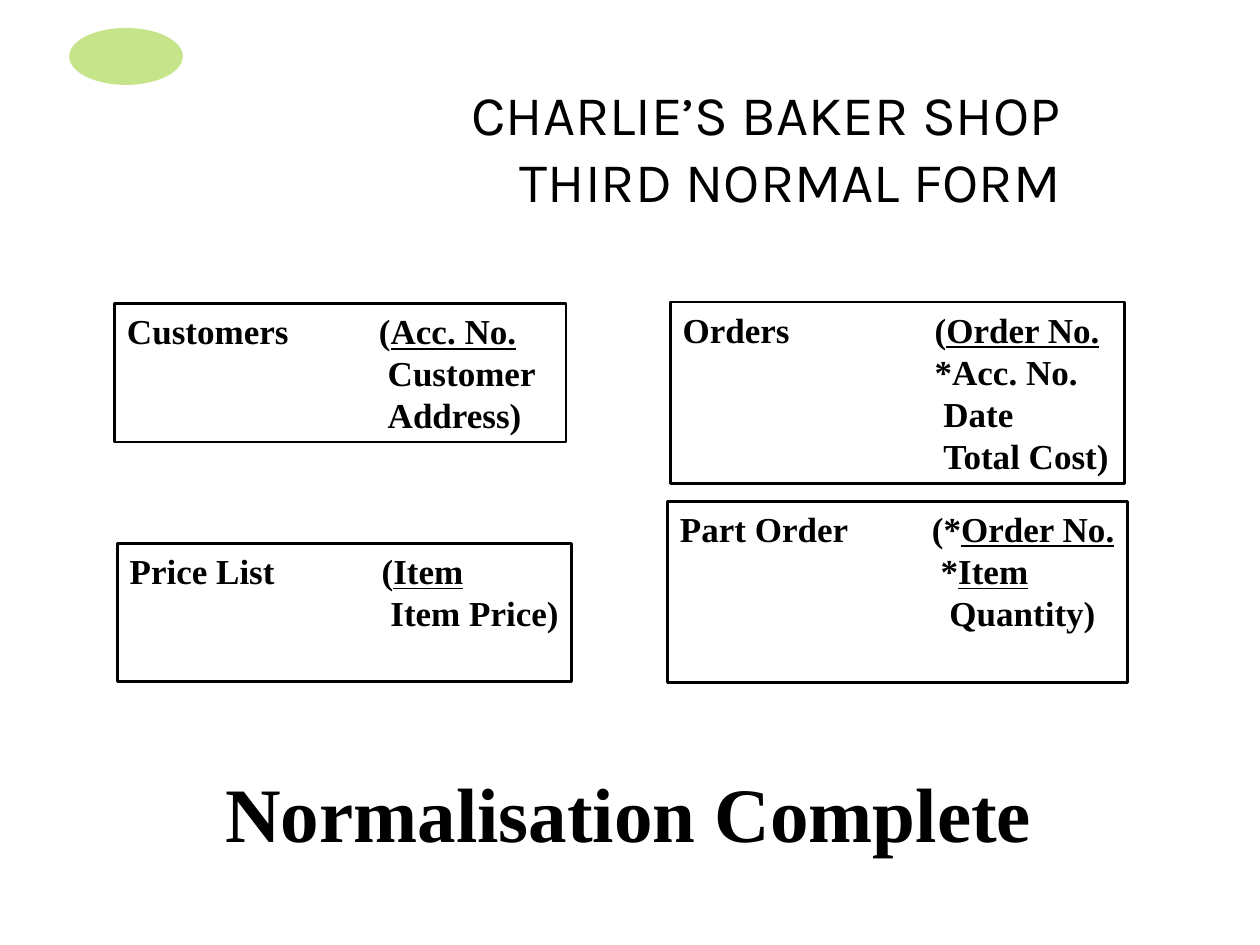
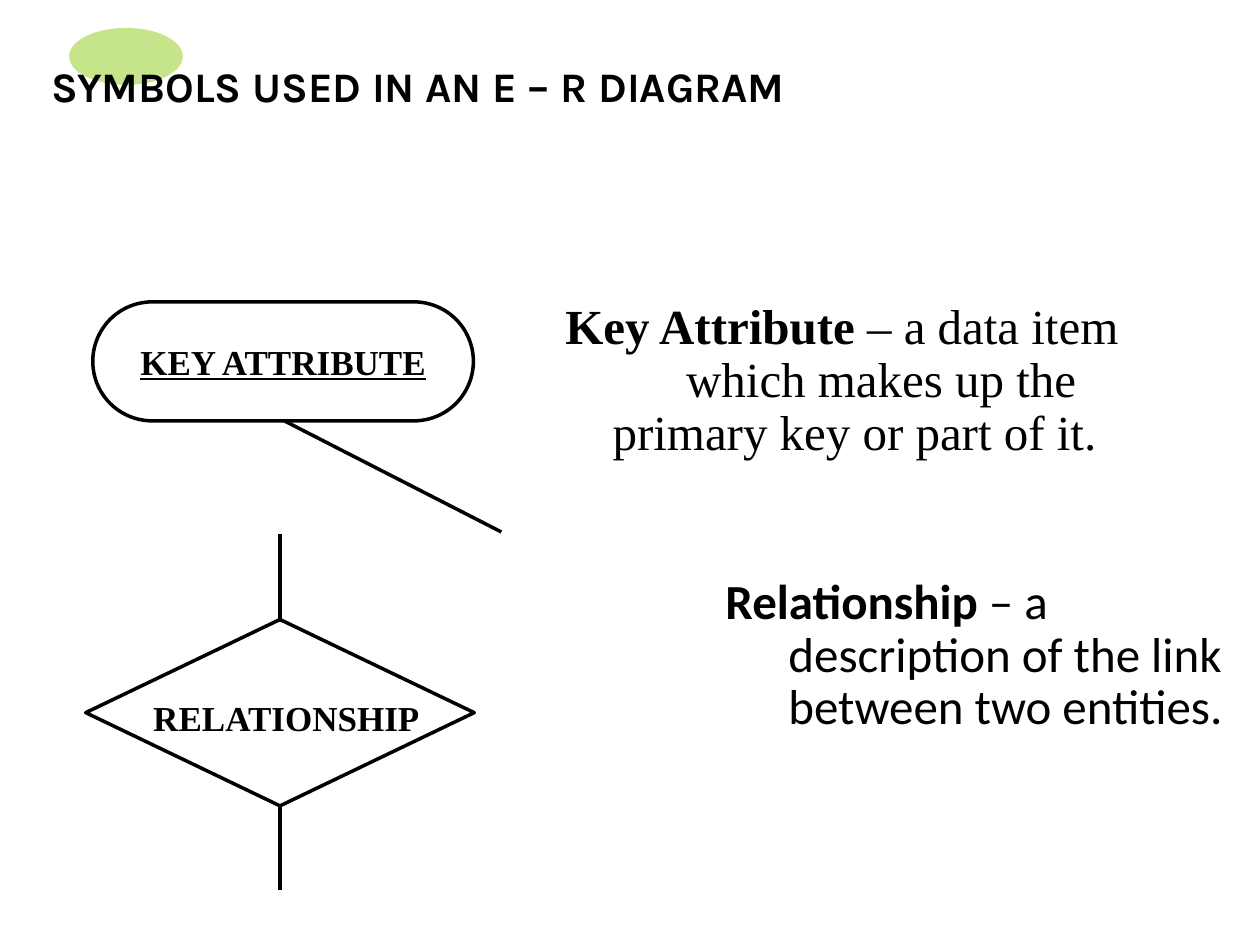
from dataclasses import dataclass

from lxml import etree
from pptx import Presentation
from pptx.dml.color import RGBColor
from pptx.enum import shapes, text
from pptx.oxml.ns import qn
from pptx.util import Pt


@dataclass(frozen=True)
class Theme:
    ink: RGBColor = RGBColor(0, 0, 0)
    paper: RGBColor = RGBColor(255, 255, 255)
    accent: RGBColor = RGBColor(0x8F, 0xCB, 0x17)
    title_font: str = "Karla"
    serif: str = "Times New Roman"
    sans: str = "Calibri"
    title: int = 32
    small_title: int = 24
    closing: int = 44
    definition: int = 28
    label: int = 20


theme = Theme()
LEFT, CENTER, RIGHT = text.PP_ALIGN.LEFT, text.PP_ALIGN.CENTER, text.PP_ALIGN.RIGHT
TOP, MIDDLE = text.MSO_ANCHOR.TOP, text.MSO_ANCHOR.MIDDLE
LINE_BREAK = ("\n", "")


def add_symbol(slide, preset, box, line_width, fill=None):
    """Add a preset shape; a line width of 0 means no outline."""
    symbol = slide.shapes.add_shape(preset, *map(Pt, box))
    symbol.shadow.inherit = False
    if fill is None:
        symbol.fill.background()
    else:
        symbol.fill.solid()
        symbol.fill.fore_color.rgb = fill
    if line_width:
        symbol.line.color.rgb = theme.ink
        symbol.line.width = Pt(line_width)
    else:
        symbol.line.fill.background()
    return symbol


def write(holder, lines, font, size, bold=False, align=LEFT, anchor=TOP):
    """Fill a shape with paragraphs of (words, style) runs; style is "", "b" or "u"."""
    frame = holder.text_frame
    frame.word_wrap = True
    frame.vertical_anchor = anchor
    for number, runs in enumerate(lines):
        paragraph = frame.add_paragraph() if number else frame.paragraphs[0]
        paragraph.alignment = align
        paragraph.font.name = font
        paragraph.font.size = Pt(size)
        paragraph.font.bold = bold
        paragraph.font.color.rgb = theme.ink
        for words, style in runs:
            if (words, style) == LINE_BREAK:
                paragraph.add_line_break()
                continue
            run = paragraph.add_run()
            run.text = words
            if style == "b":
                run.font.bold = True
            elif style == "u":
                run.font.underline = True
    return frame


deck = Presentation()
deck.slide_width, deck.slide_height = Pt(720), Pt(540)

# Shared background ellipse and title
titles = [
    ([("CHARLIE’S BAKER SHOP", ""), LINE_BREAK, ("THIRD NORMAL FORM", "")],
     (0, 30, 613.5, 107.5), theme.title, False),
    ([("SYMBOLS USED IN AN E – R DIAGRAM", "")],
     (0, 19, 455.5, 60), theme.small_title, True),
]
slides = []
for title, box, size, bold in titles:
    slide = deck.slides.add_slide(deck.slide_layouts[6])
    oval = add_symbol(slide, shapes.MSO_SHAPE.OVAL, (39.5, 16, 65, 32.5), 0, theme.accent)
    tint = oval.fill._xPr.find(".//" + qn("a:srgbClr"))
    etree.SubElement(tint, qn("a:alpha"), val="50000")
    heading = slide.shapes.add_textbox(*map(Pt, box))
    write(heading, [title], theme.title_font, size, bold, RIGHT, MIDDLE)
    slides.append(slide)
normal_form, er_symbols = slides

# Slide 1: relations in third normal form
ATTRIBUTE_COLUMN = 144
SPACE = 5
closing = normal_form.shapes.add_textbox(Pt(52.5), Pt(410), Pt(613.5), Pt(107.5))
write(closing, [[("Normalisation Complete", "")]], theme.serif, theme.closing, True, CENTER, MIDDLE)

# Each attribute: leading spaces, plain words, underlined key
relations = [
    ("Orders", (383, 172.5, 259.5, 104),
     [(0, "(", "Order No."), (0, "*Acc. No.", ""), (1, "Date", ""), (1, "Total Cost)", "")]),
    ("Price List", (67, 310.5, 259.5, 79), [(0, "(", "Item"), (1, "Item Price)", "")]),
    ("Part Order", (381.5, 286.5, 263, 103.5),
     [(0, "(*", "Order No."), (1, "*", "Item"), (2, "Quantity)", "")]),
    ("Customers", (65.5, 173.5, 258, 79),
     [(0, "(", "Acc. No."), (1, "Customer", ""), (1, "Address)", "")]),
]
for relation, box, attributes in relations:
    frame_box = add_symbol(normal_form, shapes.MSO_SHAPE.RECTANGLE, box, 1.5)
    lines = [[(plain, ""), (key, "u")] if key else [(plain, "")] for _, plain, key in attributes]
    lines[0].insert(0, (relation + "\t", ""))
    frame = write(frame_box, lines, theme.serif, theme.label, True)
    frame.margin_right = 0
    for number, paragraph in enumerate(frame.paragraphs):
        properties = paragraph._p.get_or_add_pPr()
        if number:
            indent = ATTRIBUTE_COLUMN + SPACE * attributes[number][0]
            properties.set("marL", str(Pt(indent)))
        else:
            tabs = etree.Element(qn("a:tabLst"))
            etree.SubElement(tabs, qn("a:tab"), pos=str(Pt(ATTRIBUTE_COLUMN)), algn="l")
            properties.find(qn("a:defRPr")).addprevious(tabs)

# Slide 2: definitions; each line carries its left margin and first-line indent
definitions = [
    ((407.5, 326, 312.5, 142), theme.sans, 18, [
        (36, -36, [("Relationship", "b"),
                   (" – a description of the link between two entities.", "")]),
    ]),
    ((316, 169, 386, 107.5), theme.serif, 7, [
        (27, -27, [("Key Attribute", "b"), (" – a data item", "")]),
        (69, 0, [("which makes up the", "")]),
        (27, 0, [("primary key or part of it.", "")]),
    ]),
]
for box, font, space_before, lines in definitions:
    definition = er_symbols.shapes.add_textbox(*map(Pt, box))
    frame = write(definition, [runs for _, _, runs in lines], font, theme.definition)
    frame.paragraphs[0].space_before = Pt(space_before)
    for paragraph, (margin, indent, _) in zip(frame.paragraphs, lines):
        paragraph.line_spacing = 0.9
        properties = paragraph._p.get_or_add_pPr()
        properties.set("marL", str(Pt(margin)))
        properties.set("indent", str(Pt(indent)))

# Slide 2: symbols and their links
key_attribute = add_symbol(er_symbols, shapes.MSO_SHAPE.ROUNDED_RECTANGLE,
                           (53, 172.5, 217.5, 68), 2, theme.paper)
key_attribute.adjustments[0] = 0.5
write(key_attribute, [[("KEY ATTRIBUTE", "u")]], theme.serif, theme.label, True, CENTER, MIDDLE)

add_symbol(er_symbols, shapes.MSO_SHAPE.FLOWCHART_DECISION, (49, 354, 222, 106.5), 2, theme.paper)
relationship = er_symbols.shapes.add_textbox(Pt(80.5), Pt(394.5), Pt(180), Pt(31.5))
write(relationship, [[("RELATIONSHIP", "")]], theme.serif, theme.label, True)

links = [(162.5, 240.5, 286.5, 304), (160, 355.5, 160, 305), (160, 460.5, 160, 508.5)]
for ends in links:
    link = er_symbols.shapes.add_connector(shapes.MSO_CONNECTOR.STRAIGHT, *map(Pt, ends))
    link.line.color.rgb = theme.ink
    link.line.width = Pt(2)
    etree.SubElement(link._element.spPr, qn("a:effectLst"))

deck.save("out.pptx")
